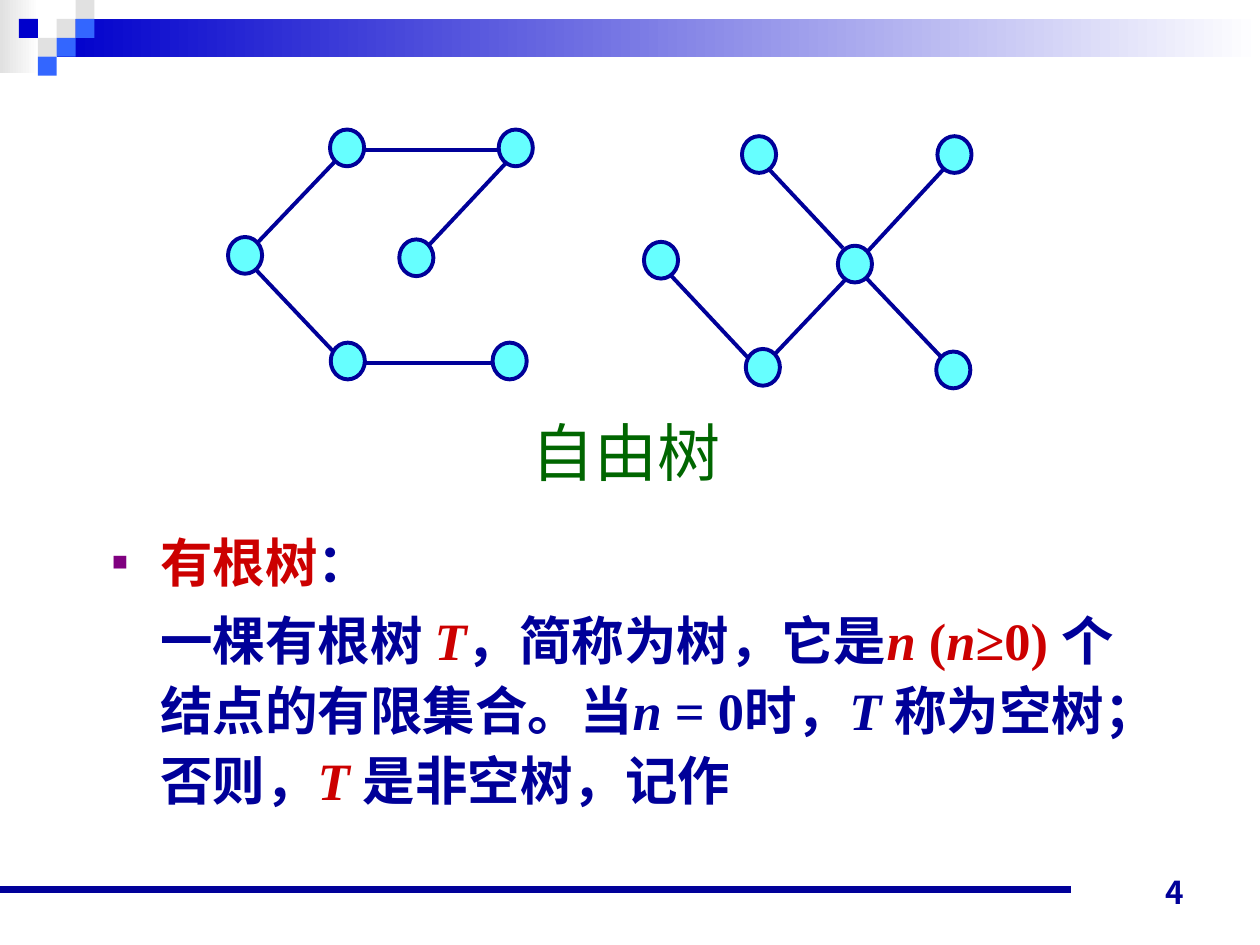
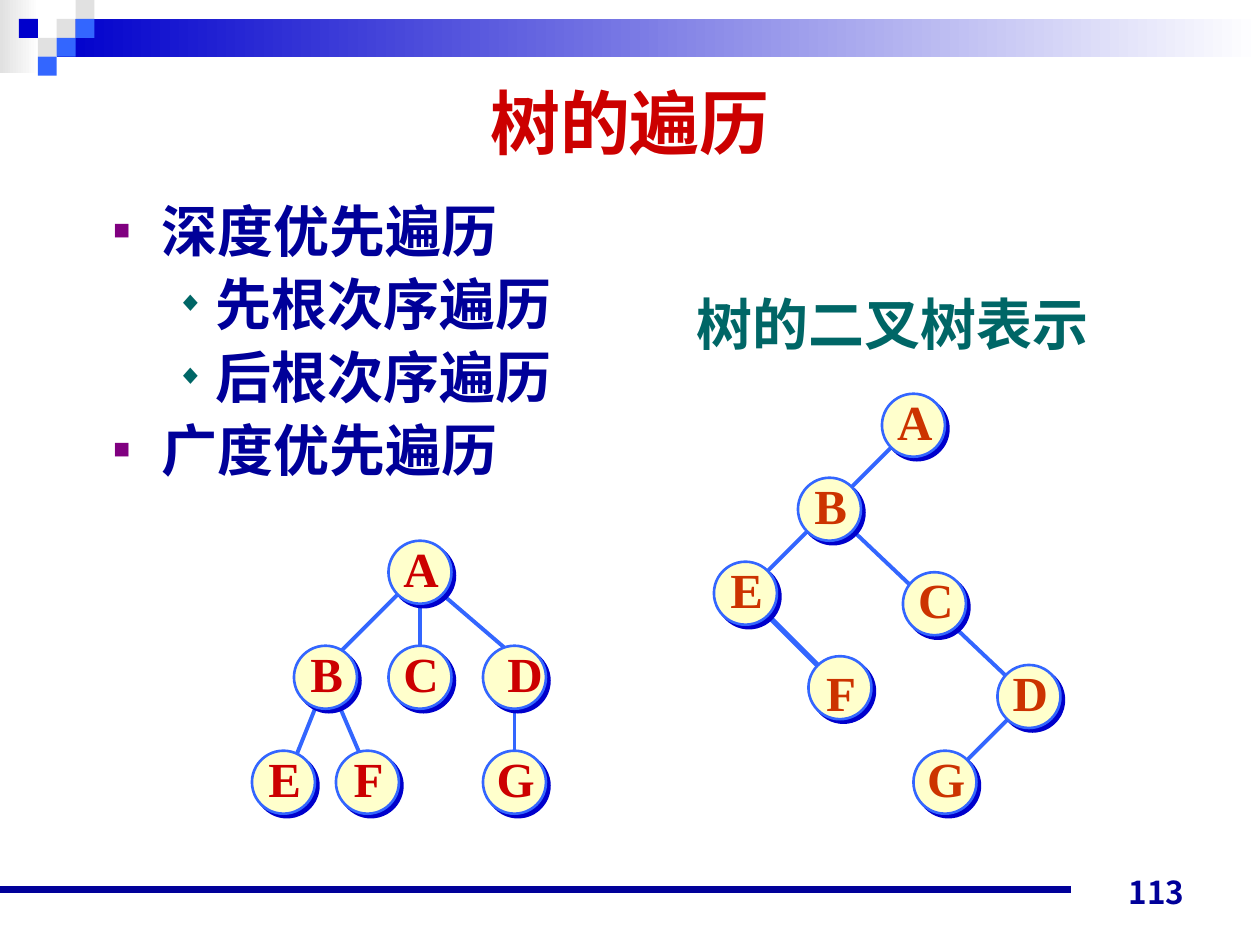
from lxml import etree
from pptx import Presentation
from pptx.dml.color import RGBColor
from pptx.enum.shapes import MSO_CONNECTOR, MSO_SHAPE
from pptx.enum.text import MSO_ANCHOR, MSO_AUTO_SIZE, PP_ALIGN
from pptx.oxml.ns import qn
from pptx.util import Pt

RECT, OVAL = MSO_SHAPE.RECTANGLE, MSO_SHAPE.OVAL
LINE = MSO_CONNECTOR.STRAIGHT
TOP, MIDDLE, BOTTOM = MSO_ANCHOR.TOP, MSO_ANCHOR.MIDDLE, MSO_ANCHOR.BOTTOM
LEFT, CENTER, RIGHT = PP_ALIGN.LEFT, PP_ALIGN.CENTER, PP_ALIGN.RIGHT

NAVY = RGBColor(0x00, 0x00, 0x99)
BLUE = RGBColor(0x00, 0x00, 0xCC)
SKY = RGBColor(0x33, 0x66, 0xFF)
GREY = RGBColor(0xE1, 0xE1, 0xE1)
WHITE = RGBColor(0xFF, 0xFF, 0xFF)
CYAN = RGBColor(0x66, 0xFF, 0xFF)
CREAM = RGBColor(0xFF, 0xFF, 0xCC)
RED = RGBColor(0xCC, 0x00, 0x00)
RUST = RGBColor(0xCC, 0x33, 0x00)
GREEN = RGBColor(0x00, 0x66, 0x00)
TEAL = RGBColor(0x00, 0x66, 0x66)
PURPLE = RGBColor(0x80, 0x00, 0x80)

SANS, SERIF, DIGIT = "Arial", "Times New Roman", "Noto Sans CJK JP"

# Header squares: column, row, colour on a grid of UNIT points
UNIT = 10.8
SQUARES = [(3, 1, GREY), (4, 0, GREY), (4, 1, SKY), (2, 2, GREY),
           (1, 1, BLUE), (3, 2, SKY), (2, 3, SKY)]

# Bullet levels: sign, colour, left margin, hanging indent
BULLETS = [("■", PURPLE, 27.4, -27.4), ("◆", TEAL, 58.3, -22.3)]

# Rooted tree text: runs of (text, colour, italic)
TERM = [("有根树", RED, False), ("：", NAVY, False)]
MEANING = [
    ("一棵有根树 ", NAVY, False), ("T", RED, True),
    ("，简称为树，它是", NAVY, False), ("n", RED, True), (" (", RED, False),
    ("n", RED, True), ("≥0) ", RED, False),
    ("个结点的有限集合。当", NAVY, False), ("n", NAVY, True),
    (" = 0时，", NAVY, False), ("T ", NAVY, True),
    ("称为空树；否则，", NAVY, False), ("T ", RED, True),
    ("是非空树，记作", NAVY, False),
]

# Free trees: corner of each node, then both ends of each edge
FREE_NODES = [
    (285, 74), (188.6, 74), (130.3, 135.4), (228.2, 136.8), (281.5, 195.8),
    (189, 195.8), (424, 77.8), (368, 138.2), (426.2, 199.4), (535.7, 77.8),
    (478.8, 140.4), (535, 200.9),
]
FREE_EDGES = [
    (207.4, 85.7, 285.8, 85.7), (191.5, 92.2, 147.6, 138.2),
    (288.7, 93.6, 244.8, 140.4), (146.2, 154.1, 198, 208.8),
    (204.5, 207.4, 282.2, 207.4), (441.4, 203.8, 483.8, 159.1),
    (439.9, 97.2, 481.7, 141.8), (383, 157, 434.9, 212.4),
    (493.2, 157, 545.8, 212.4), (540, 95.8, 496.1, 143.3),
]

# Traversal list: level, text
ORDERS = [(0, "深度优先遍历"), (1, "先根次序遍历"),
          (1, "后根次序遍历"), (0, "广度优先遍历")]

# Lettered trees: letter, corner of its node, shift of the letter
SHIFT = (0.7, -2.5)
TREE = [
    ("A", 222, 309, SHIFT), ("B", 168, 369, SHIFT), ("C", 222, 369, SHIFT),
    ("D", 276, 369, (6, -2.5)), ("E", 144, 429, SHIFT),
    ("F", 192, 429, SHIFT), ("G", 276, 429, SHIFT),
]
BINARY = [
    ("A", 504, 225, SHIFT), ("B", 456, 273, SHIFT), ("C", 516, 327, SHIFT),
    ("D", 570, 380, SHIFT), ("E", 408, 321, SHIFT),
    ("F", 462, 375, (0.7, 2.5)), ("G", 522, 429, SHIFT),
]
TREE_EDGES = [
    (228, 339, 192, 375), (240, 345, 240, 375), (252, 339, 294, 375),
    (180, 405, 168, 435), (192, 399, 210, 441), (294, 399, 294, 435),
]
BINARY_EDGES = [
    (516, 249, 432, 333), (486, 302, 582, 393), (582, 405, 546, 441),
]
HEAVY_EDGE = (432, 345, 468, 381)


def place(shape, x, y, w, h):
    shape.left, shape.top, shape.width, shape.height = map(Pt, (x, y, w, h))


def add_form(slide, kind, x, y, w, h, fill, line=None, weight=0):
    form = slide.shapes.add_shape(kind, Pt(x), Pt(y), Pt(w), Pt(h))
    form.shadow.inherit = False
    if isinstance(fill, tuple) and not isinstance(fill, RGBColor):
        form.fill.gradient()
        form.fill.gradient_angle = 0
        for stop, tint in zip(form.fill.gradient_stops, fill):
            stop.color.rgb = tint
    else:
        form.fill.solid()
        form.fill.fore_color.rgb = fill
    if line is None:
        form.line.fill.background()
    else:
        form.line.color.rgb = line
        form.line.width = Pt(weight)
    return form


def add_line(slide, ends, color, weight):
    line = slide.shapes.add_connector(LINE, *map(Pt, ends))
    line.line.color.rgb = color
    line.line.width = Pt(weight)
    etree.SubElement(line._element.spPr, qn("a:effectLst"))


def set_font(para, name, size, color=None, bold=True):
    para.font.name = name
    para.font.size = Pt(size)
    para.font.bold = bold
    if color is not None:
        para.font.color.rgb = color


def add_text(slide, text, box, font, align, anchor, wrap=False):
    shape = slide.shapes.add_textbox(*map(Pt, box))
    frame = shape.text_frame
    frame.word_wrap = wrap
    frame.vertical_anchor = anchor
    para = frame.paragraphs[0]
    para.text = text
    para.alignment = align
    set_font(para, *font)
    return para


def set_bullet(para, level=None):
    """Give the paragraph a bullet level, or a plain indent for None."""
    props = para._p.get_or_add_pPr()
    if level is None:
        props.set("marL", str(Pt(BULLETS[0][2])))
        props.set("indent", "0")
        etree.SubElement(props, qn("a:buNone"))
        return
    sign, color, margin, hang = BULLETS[level]
    para.level = level
    props.set("marL", str(Pt(margin)))
    props.set("indent", str(Pt(hang)))
    tint = etree.SubElement(props, qn("a:buClr"))
    etree.SubElement(tint, qn("a:srgbClr"), val=str(color))
    etree.SubElement(props, qn("a:buSzPct"), val="50000")
    etree.SubElement(props, qn("a:buFont"), typeface=SANS)
    etree.SubElement(props, qn("a:buChar"), char=sign)


def new_slide(deck, number, title, box, font):
    """Start a slide with the shared header, footer and title."""
    slide = deck.slides.add_slide(deck.slide_layouts[1])
    add_form(slide, RECT, 0, 0, 22.3, 41.8, (GREY, WHITE))
    add_form(slide, RECT, 3 * UNIT, UNIT, 720 - 3 * UNIT, 2 * UNIT, (BLUE, WHITE))
    for col, row, color in SQUARES:
        add_form(slide, RECT, col * UNIT, row * UNIT, UNIT, UNIT, color)
    add_line(slide, (0, 508.3, 612, 508.3), NAVY, 4.5)
    add_text(slide, number, (516.2, 488.2, 167.8, 36),
             (DIGIT, 18, NAVY), RIGHT, BOTTOM, True)
    head = slide.shapes.title
    place(head, *box)
    head.text_frame.vertical_anchor = MIDDLE
    head.text_frame.auto_size = MSO_AUTO_SIZE.NONE
    para = head.text_frame.paragraphs[0]
    para.text = title
    para.alignment = CENTER
    set_font(para, *font)
    return slide


def fill_body(slide, box, items, name, size, pitch, gap):
    """Fill the body with items of (level, runs)."""
    body = slide.placeholders[1]
    place(body, *box)
    frame = body.text_frame
    frame.auto_size = MSO_AUTO_SIZE.NONE
    frame.vertical_anchor = TOP
    for i, (level, runs) in enumerate(items):
        para = frame.add_paragraph() if i else frame.paragraphs[0]
        set_bullet(para, level)
        para.alignment = LEFT
        para.line_spacing = Pt(pitch)
        para.space_before = Pt(gap if i else 0)
        set_font(para, name, size)
        for text, color, italic in runs:
            run = para.add_run()
            run.text = text
            run.font.color.rgb = color
            run.font.italic = italic


def add_nodes(slide, nodes, color):
    for letter, x, y, (dx, dy) in nodes:
        disc = add_form(slide, OVAL, x, y, 36, 36, CREAM, SKY, 1.5)
        effects = disc._element.spPr.find(qn("a:effectLst"))
        shade = etree.SubElement(effects, qn("a:outerShdw"), dist=str(Pt(2.8)),
                                 dir="2700000", algn="ctr", rotWithShape="0")
        etree.SubElement(shade, qn("a:srgbClr"), val=str(BLUE))
        add_text(slide, letter, (x + dx, y + dy - 2.5, 36, 41),
                 (SERIF, 28, color), CENTER, MIDDLE)


def free_slide(deck):
    slide = new_slide(deck, "4", "自由树", (33.8, 232.6, 648, 51.1),
                      (SANS, 36, GREEN, False))
    fill_body(slide, (56.9, 295.2, 612, 184.3), [(0, TERM), (None, MEANING)],
              SERIF, 30, 40, 4.5)
    for ends in FREE_EDGES:
        add_line(slide, ends, NAVY, 2.25)
    for x, y in FREE_NODES:
        add_form(slide, OVAL, x, y, 19.5, 21, CYAN, NAVY, 2.25)


def order_slide(deck):
    slide = new_slide(deck, "113", "树的遍历", (36, 36, 648, 67),
                      (SANS, 40, RED))
    items = [(level, [(text, NAVY, False)]) for level, text in ORDERS]
    fill_body(slide, (57.6, 108.7, 648, 187.2), items, SANS, 32, 38.5, 3.2)
    label = add_text(slide, "树的二叉树表示", (391, 162, 246.2, 45.4),
                     (SERIF, 32, TEAL), LEFT, TOP)
    label.line_spacing = Pt(38.5)
    add_line(slide, HEAVY_EDGE, SKY, 3)
    for ends in TREE_EDGES + BINARY_EDGES:
        add_line(slide, ends, SKY, 2.25)
    add_nodes(slide, TREE, RED)
    add_nodes(slide, BINARY, RUST)


def main():
    deck = Presentation()
    deck.slide_width, deck.slide_height = Pt(720), Pt(540)
    free_slide(deck)
    order_slide(deck)
    deck.save("out.pptx")


if __name__ == "__main__":
    main()
